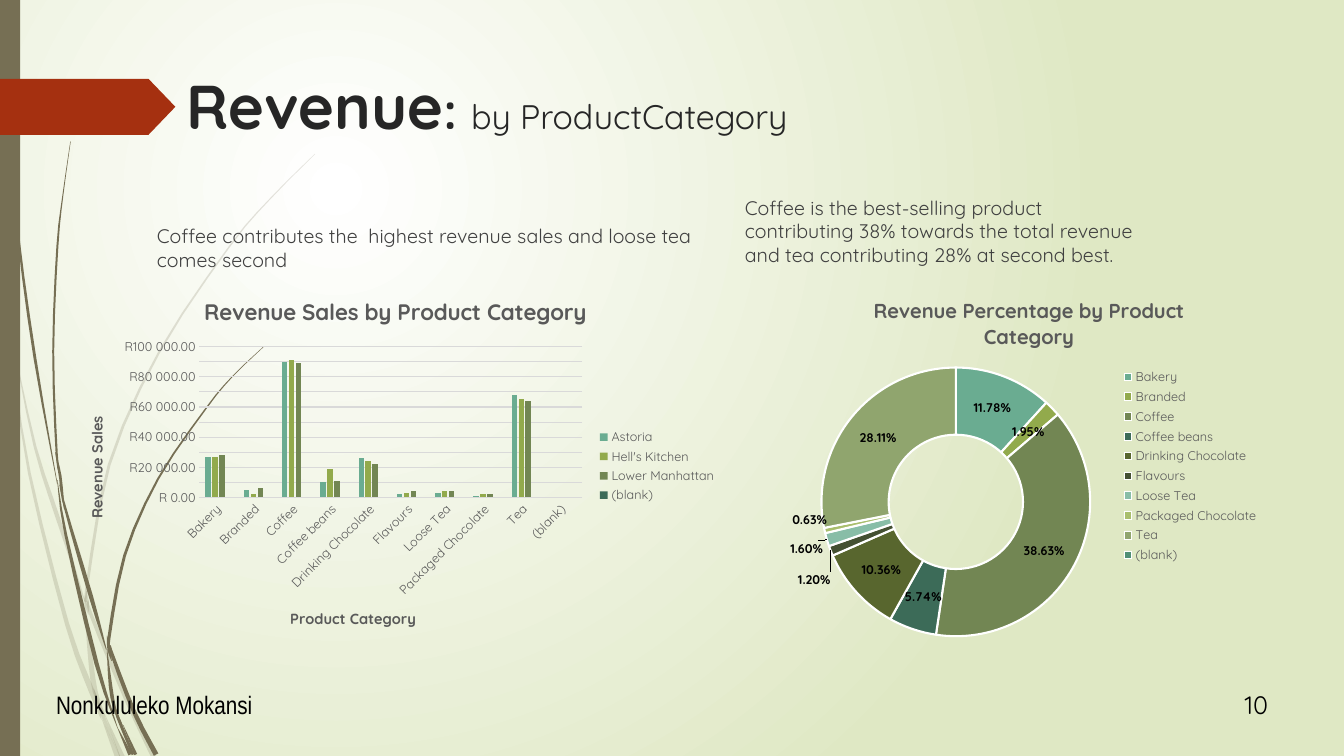
from math import hypot

from lxml import etree
from pptx import Presentation
from pptx.chart import data
from pptx.dml.color import RGBColor
from pptx.enum import chart as charts, shapes, text
from pptx.oxml import ns
from pptx.util import Pt

WHITE = RGBColor(0xFF, 0xFF, 0xFF)
BLACK = RGBColor(0, 0, 0)
PALE = RGBColor(0xDF, 0xE8, 0xC4)
BROWN = RGBColor(0x76, 0x6F, 0x54)
RUST = RGBColor(0xA5, 0x30, 0x10)
INK = RGBColor(0x26, 0x26, 0x26)
BODY = RGBColor(0x40, 0x40, 0x40)
GREY = RGBColor(0x59, 0x59, 0x59)
RULE = RGBColor(0xD9, 0xD9, 0xD9)
HUES = [RGBColor.from_string(h) for h in (
    "6AAC91 92AA4C 728653 3C6B58 58662E 445032 88BDA7 A9BE6D 90A56E 508F75").split()]
FONT = "Quicksand"
KINDS = ["Bakery", "Branded", "Coffee", "Coffee beans", "Drinking Chocolate",
         "Flavours", "Loose Tea", "Packaged Chocolate", "Tea", "(blank)"]
SALES = {
    "Astoria": [27000, 5000, 90000, 10000, 26000, 2000, 3000, 1000, 68000, None],
    "Hell's Kitchen": [27000, 2000, 91000, 19000, 24000, 3000, 4000, 2000, 65000, None],
    "Lower Manhattan": [28000, 6000, 89000, 11000, 22000, 4000, 4000, 2000, 64000, None],
    "(blank)": [None] * 10,
}
SHARES = [.1178, .0195, .3863, .0574, .1036, .012, .016, .0063, .2811, None]
# Label shifts for the thin slices, as shares of the chart's size
SHIFTS = {5: (-.1, .11), 6: (-.12, .05), 7: (-.1, -.01)}

# Pieces of the grass blades: centre points and width, in points
FAINT = [
    [(0, 209, 2), (4.5, 230, 1.5), (7.9, 252, .3)],
    [(8, 252, .3), (21, 338, 2), (48, 446, 3), (66, 495, 4), (72.5, 514, .3)],
    [(73, 514, .3), (84, 541, 3.5)],
    [(10, 248, .3), (25, 319, 2), (43, 375, 3), (61, 431, .5)],
    [(63.4, 429, .3), (65, 439, 2.5), (90, 499, 3), (110, 541, 3.6)],
    [(225, 110, .3), (193, 142, .7), (164, 176, 1), (114, 251, 1.5), (78, 332, 2),
     (62, 420, 2), (62, 429, 1)],
    [(61.8, 422, .3), (62, 431, 3), (63.2, 439, .3)],
    [(60.5, 431, .3), (64, 465, 3), (68, 494, 3.5), (75.5, 512, .3)],
    [(67, 492, .3), (73, 510, 2.5), (86, 541, .3)],
    [(75.6, 512, .3), (87.5, 541, 3.6)],
]
SOLID = [
    [(2.5, 0, .7), (3, 35, .7), (5.4, 79, 1), (13, 168, 1.5), (25, 256, 2), (41, 346, .3)],
    [(43.3, 340, .3), (45, 357, 1.5), (65, 426, 3), (76, 464, .5)],
    [(79, 461, .3), (81, 470, 2.5), (96, 509, 3), (111.5, 539, 3.6)],
    [(41, 343, .3), (47, 382, 2), (69, 474, 3), (84, 520, .3)],
    [(50.4, 101, .3), (45, 139, .7), (41, 176, 1.4), (38, 251, 1.4), (40.5, 324, 1.5),
     (43.2, 340, .3)],
    [(88, 518, .3), (97, 539, 2.2)],
    [(39.6, 323, .3), (43, 340, 2), (46, 364, .3)],
    [(188, 248, .3), (166, 269, .6), (147, 292, 1), (113, 342, 1.4), (89, 397, 2),
     (78, 455, 2.2), (79, 461, .3)],
    [(84, 520, .3), (93, 539, 2.9)],
    [(76.5, 464, .3), (79, 490, 2.5), (82, 506, 2), (87.5, 518, .3)],
    [(76.4, 454, .3), (78, 464, 2.5), (79.7, 472, .3)],
    [(79.2, 498, .3), (84, 512, 2), (95, 539, 2)],
]


def paint(shape, hue):
    shape.shadow.inherit = False
    shape.fill.solid()
    shape.fill.fore_color.rgb = hue
    shape.line.fill.background()


def style(font, size, hue, bold=False, name=FONT):
    font.name, font.size, font.bold = name, Pt(size), bold
    font.color.rgb = hue


def write(slide, box, words, size, hue, name=FONT, low=False, wrap=True):
    frame = slide.shapes.add_textbox(*map(Pt, box)).text_frame
    frame.word_wrap = wrap
    frame.text = words
    if low:
        frame.vertical_anchor = text.MSO_ANCHOR.BOTTOM
    style(frame.paragraphs[0].runs[0].font, size, hue, name=name)


def curve(dots, steps=3):
    """Smooth run of points through the given ones."""
    ends = [dots[0], *dots, dots[-1]]
    for a, b, c, d in zip(ends, ends[1:], ends[2:], ends[3:]):
        for t in (n / steps for n in range(steps)):
            yield [(2 * q + (r - p) * t + (2 * p - 5 * q + 4 * r - s) * t ** 2
                    + (3 * q - p - 3 * r + s) * t ** 3) / 2
                   for p, q, r, s in zip(a, b, c, d)]
    yield dots[-1]


def blade(slide, dots, alpha=None):
    run = list(curve(dots))
    left, right = [], []
    for n, (x, y, w) in enumerate(run):
        a, b = run[max(n - 1, 0)], run[min(n + 1, len(run) - 1)]
        dx, dy = b[0] - a[0], b[1] - a[1]
        k = max(w, .3) / 2 / hypot(dx, dy)
        left.append((Pt(x - dy * k), Pt(y + dx * k)))
        right.append((Pt(x + dy * k), Pt(y - dx * k)))
    edge = left + right[::-1]
    form = slide.shapes.build_freeform(*edge[0])
    form.add_line_segments(edge[1:], close=True)
    shape = form.convert_to_shape()
    paint(shape, BROWN)
    if alpha:
        tint = shape.fill._xPr.find(".//" + ns.qn("a:srgbClr"))
        etree.SubElement(tint, ns.qn("a:alpha"), val=str(alpha * 1000))


def backdrop(slide):
    fill = slide.background.fill
    fill.gradient()
    for stop, hue in zip(fill.gradient_stops, (WHITE, PALE)):
        stop.color.rgb = hue
    grad = slide.element.find(".//" + ns.qn("a:gradFill"))
    grad.remove(grad.find(ns.qn("a:lin")))
    ring = etree.SubElement(grad, ns.qn("a:path"), path="circle")
    etree.SubElement(ring, ns.qn("a:fillToRect"), l="50000", t="50000", r="100000", b="100000")
    for dots in FAINT:
        blade(slide, dots, 20)
    for dots in SOLID:
        blade(slide, dots)
    bar = slide.shapes.add_shape(shapes.MSO_SHAPE.RECTANGLE, 0, 0, Pt(14.4), Pt(540))
    paint(bar, BROWN)


def heading(slide, box):
    x, y, w, h = box
    tag = slide.shapes.add_shape(shapes.MSO_SHAPE.PENTAGON, 0, Pt(y + 11.5), Pt(x - .7), Pt(40))
    tag.adjustments[0] = .48
    paint(tag, RUST)
    frame = slide.shapes.add_textbox(*map(Pt, box)).text_frame
    frame.word_wrap = True
    for words, size, bold in (("Revenue", 44.1, True), (": ", 36, True),
                              ("by ProductCategory", 24.3, False)):
        run = frame.paragraphs[0].add_run()
        run.text = words
        style(run.font, size, INK, bold)


def place(node, x, y, w=None, h=None, after=None, inner=False):
    """Fix a chart part at shares of the chart's size."""
    old = node.find(ns.qn("c:layout"))
    if old is not None:
        node.remove(old)
    spot = 0 if after is None else node.index(node.find(ns.qn(after))) + 1
    lay = etree.Element(ns.qn("c:layout"))
    node.insert(spot, lay)
    man = etree.SubElement(lay, ns.qn("c:manualLayout"))
    parts = [("layoutTarget", "inner")] if inner else []
    if after != "c:idx":
        parts += [("xMode", "edge"), ("yMode", "edge")]
    parts += [("x", x), ("y", y), ("w", w), ("h", h)]
    for key, val in parts:
        if val is not None:
            etree.SubElement(man, ns.qn("c:" + key), val=str(val))


def label(title, words, size, x, y):
    title.text_frame.text = words
    style(title.text_frame.paragraphs[0].runs[0].font, size, GREY, True)
    place(title._element, x, y, after="c:tx")


def plot(slide, box, kind, sets, title, size, spot, area, key):
    feed = data.CategoryChartData()
    feed.categories = KINDS
    for name, vals in sets.items():
        feed.add_series(name, vals)
    chart = slide.shapes.add_chart(kind, *map(Pt, box), feed).chart
    style(chart.font, 10, BLACK)
    chart.has_title = chart.has_legend = True
    label(chart.chart_title, title, size, *spot)
    chart.legend.position = charts.XL_LEGEND_POSITION.RIGHT
    chart.legend.include_in_layout = False
    style(chart.legend.font, 9, GREY)
    place(chart.legend._element, *key, after="c:legendPos")
    place(chart._chartSpace.find(".//" + ns.qn("c:plotArea")), *area, inner=True)
    return chart


def columns(slide, box):
    chart = plot(slide, box, charts.XL_CHART_TYPE.COLUMN_CLUSTERED, SALES,
                 "Revenue Sales by Product Category", 16, (.205, .028),
                 (.204, .177, .578, .408), (.8, .39, .19, .22))
    bars = chart.plots[0]
    bars.gap_width, bars.overlap, bars.vary_by_categories = 219, -27, False
    for row, hue in zip(bars.series, HUES):
        row.format.fill.solid()
        row.format.fill.fore_color.rgb = hue
    cat, val = chart.category_axis, chart.value_axis
    for axis, words, x, y in ((cat, "Product Category", .337, .876),
                              (val, "Revenue Sales", .029, .357)):
        axis.major_tick_mark = axis.minor_tick_mark = charts.XL_TICK_MARK.NONE
        style(axis.tick_labels.font, 9, GREY)
        label(axis.axis_title, words, 10.5, x, y)
    cat.format.line.color.rgb = RULE
    cat._element.find(ns.qn("c:txPr")).find(ns.qn("a:bodyPr")).set("rot", "-60000000")
    val.axis_title._element.find(".//" + ns.qn("a:bodyPr")).set("rot", "-5400000")
    val.minimum_scale, val.maximum_scale, val.major_unit = 0, 100000, 10000
    val.tick_labels.number_format = r'"R"#\ ##0.00'
    val.tick_labels.number_format_is_linked = False
    val.format.line.fill.background()
    val.major_gridlines.format.line.color.rgb = RULE
    val.major_gridlines.format.line.width = Pt(.75)


def doughnut(slide, box):
    chart = plot(slide, box, charts.XL_CHART_TYPE.DOUGHNUT, {"Series 1": SHARES},
                 "Revenue Percentage by Product Category", 14.4, (.167, .035),
                 (.065, .237, .563, .727), (.687, .23, .3, .547))
    row = chart.plots[0].series[0]
    tags = row.data_labels
    tags.show_value, tags.show_percentage = True, False
    tags.number_format, tags.number_format_is_linked = "0.00%", False
    style(tags.font, 9, BLACK, True)
    for n, hue in enumerate(HUES):
        look = row.points[n].format
        look.fill.solid()
        look.fill.fore_color.rgb = hue
        look.line.color.rgb = WHITE
        look.line.width = Pt(1.5)
    for n, (x, y) in SHIFTS.items():
        style(row.points[n].data_label.font, 9, BLACK, True)
        tag = next(t for t in row._element.iter(ns.qn("c:dLbl"))
                   if t.find(ns.qn("c:idx")).get("val") == str(n))
        place(tag, x, y, after="c:idx")
        tag.insert(2, etree.Element(ns.qn("c:numFmt"), formatCode="0.00%", sourceLinked="0"))


def footer(slide, box):
    x, y, w, h = box
    write(slide, (x, y, 155, h), "Nonkululeko Mokansi", 18, BLACK, "Arial Narrow")
    write(slide, (x + w - 34.5, y, 34.5, 29), "10", 18, BLACK, wrap=False)


def main():
    deck = Presentation()
    deck.slide_width, deck.slide_height = Pt(960), Pt(540)
    slide = deck.slides.add_slide(deck.slide_layouts[6])
    backdrop(slide)
    heading(slide, (126, 44.8, 473, 85))
    write(slide, (105, 124, 414, 73.4), "Coffee contributes the  highest revenue sales "
          "and loose tea comes second", 14, BODY, low=True)
    columns(slide, (46, 201, 473, 264))
    write(slide, (525, 143.3, 306.7, 50.4), "Coffee is the best-selling product contributing "
          "38% towards the total revenue and tea contributing 28% at second best.",
          14, BODY, low=True)
    doughnut(slide, (564.5, 200, 341.3, 264))
    footer(slide, (33, 489, 883.5, 51))
    deck.save("out.pptx")


if __name__ == "__main__":
    main()
